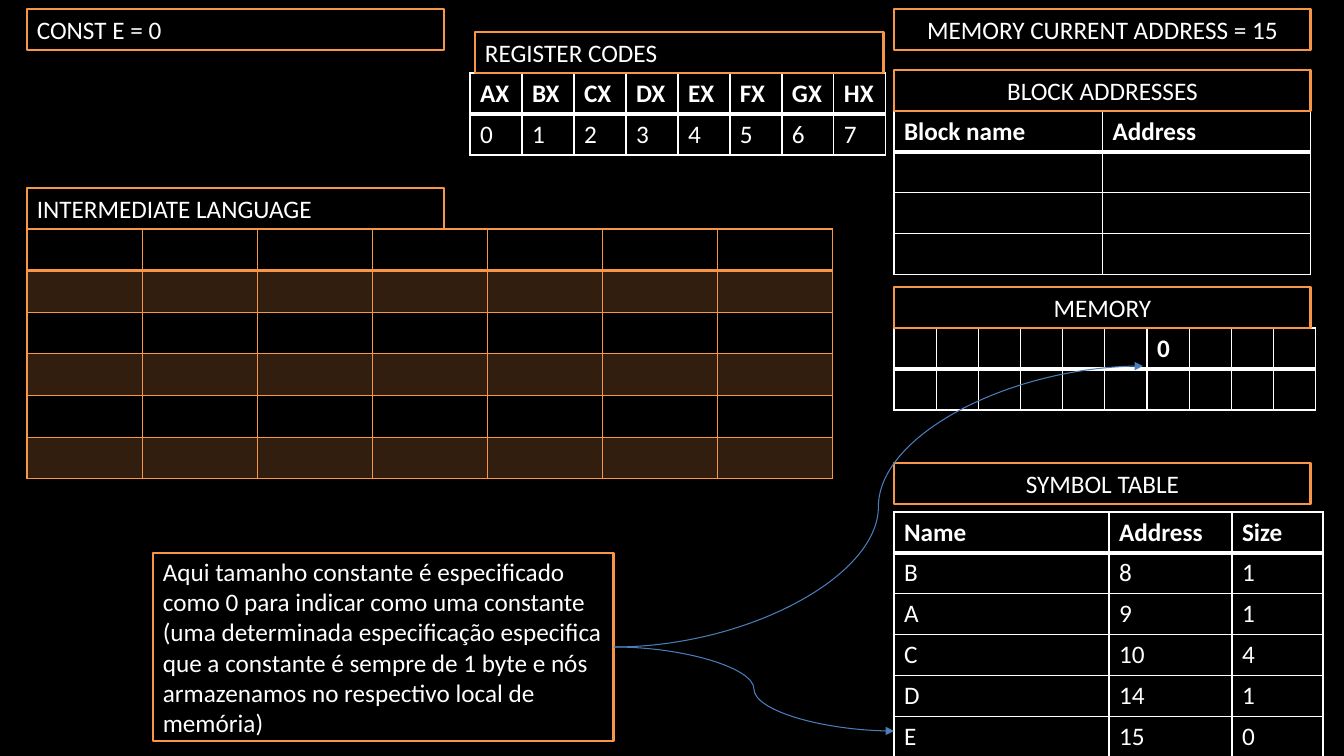
from lxml import etree
from pptx import Presentation, util as u
from pptx.dml.color import RGBColor
from pptx.enum import shapes, text
from pptx.oxml.ns import qn

SCALE = 914400 / 100.8
BLACK, WHITE, ORANGE, BLUE = "000000", "FFFFFF", "F79646", "4B7EBC"
LEFT, CENTER = text.PP_ALIGN.LEFT, text.PP_ALIGN.CENTER


def px(value):
    return u.Emu(round(value * SCALE))


def color(value):
    return RGBColor.from_string(value)


class SlideBuilder:
    font, size = "Calibri", u.Pt(18)

    def __init__(self, presentation):
        self.slide = presentation.slides.add_slide(presentation.slide_layouts[6])
        background = self.slide.background.fill
        background.solid()
        background.fore_color.rgb = color(BLACK)

    def format_text(self, text_frame, bold=False, align=LEFT):
        for paragraph in text_frame.paragraphs:
            paragraph.alignment = align
            for run in paragraph.runs:
                run.font.name, run.font.size, run.font.bold = self.font, self.size, bold
                run.font.color.rgb = color(WHITE)

    def box(self, content, left, top, width, height=41, align=LEFT):
        shape = self.slide.shapes.add_shape(
            shapes.MSO_SHAPE.RECTANGLE, px(left), px(top), px(width), px(height))
        shape.shadow.inherit = False
        shape.fill.solid()
        shape.fill.fore_color.rgb = color(BLACK)
        shape.line.color.rgb = color(ORANGE)
        shape.line.width = u.Pt(2)
        shape.text_frame.word_wrap = True
        shape.text_frame.text = content
        self.format_text(shape.text_frame, align=align)
        return shape

    def borders(self, cell, line_color, top, bottom):
        properties = cell._tc.get_or_add_tcPr()
        for side, points in (("L", 1), ("R", 1), ("T", top), ("B", bottom)):
            line = etree.SubElement(properties, qn(f"a:ln{side}"), w=str(u.Pt(points)))
            fill = etree.SubElement(line, qn("a:solidFill"))
            etree.SubElement(fill, qn("a:srgbClr"), val=line_color)

    def cell_fill(self, cell, fill_color, opacity=100):
        cell.fill.solid()
        cell.fill.fore_color.rgb = color(fill_color)
        if opacity < 100:
            tint = cell._tc.tcPr.find(qn("a:solidFill")).find(qn("a:srgbClr"))
            etree.SubElement(tint, qn("a:alpha"), val=str(opacity * 1000))

    def table(self, rows, left, top, width, height, column_widths=(),
              line_color=WHITE, header_line=3, banded=False):
        table = self.slide.shapes.add_table(
            len(rows), len(rows[0]), px(left), px(top), px(width), px(height)).table
        table.first_row = table.horz_banding = False
        for column, column_width in zip(table.columns, column_widths):
            column.width = px(column_width)
        for i, row in enumerate(rows):
            for j, value in enumerate(row):
                cell = table.cell(i, j)
                if value:
                    cell.text_frame.text = value
                    self.format_text(cell.text_frame, bold=i == 0)
                self.borders(cell, line_color, header_line if i == 1 else 1,
                             header_line if i == 0 else 1)
                if not banded:
                    self.cell_fill(cell, BLACK)
                elif i % 2:
                    self.cell_fill(cell, ORANGE, 20)
                else:
                    cell.fill.background()

    def curved_arrow(self, source, site, end_x, end_y):
        connector = self.slide.shapes.add_connector(
            shapes.MSO_CONNECTOR.CURVE, source.left, source.top, px(end_x), px(end_y))
        connector.begin_connect(source, site)
        connector.line.color.rgb = color(BLUE)
        connector.line.width = u.Pt(0.75)
        etree.SubElement(connector.line._get_or_add_ln(), qn("a:tailEnd"), type="triangle")
        etree.SubElement(connector._element.spPr, qn("a:effectLst"))


def blank_rows(rows, columns):
    return [[""] * columns for _ in range(rows)]


presentation = Presentation()
presentation.slide_width, presentation.slide_height = px(1344), px(756)
builder = SlideBuilder(presentation)

LEFT_X, RIGHT_X, PANEL = 27, 894, 417

memory = blank_rows(2, 10)
memory[0][6] = "0"
builder.table(memory, RIGHT_X, 328, 422, 82)
builder.box("MEMORY", RIGHT_X, 287, PANEL, align=CENTER)

symbols = [("Name", "Address", "Size"), ("B", "8", "1"), ("A", "9", "1"),
           ("C", "10", "4"), ("D", "14", "1"), ("E", "15", "0")]
builder.table(symbols, RIGHT_X, 512, 429, 245, column_widths=(215, 123, 91))
builder.box("SYMBOL TABLE", RIGHT_X, 463, PANEL, align=CENTER)

builder.table(blank_rows(6, 7), LEFT_X, 229, 806, 250,
              line_color=ORANGE, header_line=2, banded=True)

blocks = [("Block name", "Address")] + blank_rows(3, 2)
builder.table(blocks, RIGHT_X, 111, PANEL, 163)
builder.box("BLOCK ADDRESSES", RIGHT_X, 70, PANEL, align=CENTER)

builder.box("CONST E = 0", LEFT_X, 9, PANEL)
builder.box("MEMORY CURRENT ADDRESS = 15", RIGHT_X, 9, PANEL, align=CENTER)
builder.box("INTERMEDIATE LANGUAGE", LEFT_X, 188, PANEL)
note = builder.box(
    "Aqui tamanho constante é especificado como 0 para indicar como uma constante "
    "(uma determinada especificação especifica que a constante é sempre de 1 byte "
    "e nós armazenamos no respectivo local de memória)", 153, 553, 461, 188)

registers = [[f"{letter}X" for letter in "ABCDEFGH"], [str(code) for code in range(8)]]
builder.table(registers, 470, 73, 416, 82)
builder.box("REGISTER CODES", 475, 32, 409)

for end_x, end_y in ((1143, 366), (RIGHT_X, 731)):
    builder.curved_arrow(note, 3, end_x, end_y)

presentation.save("out.pptx")
